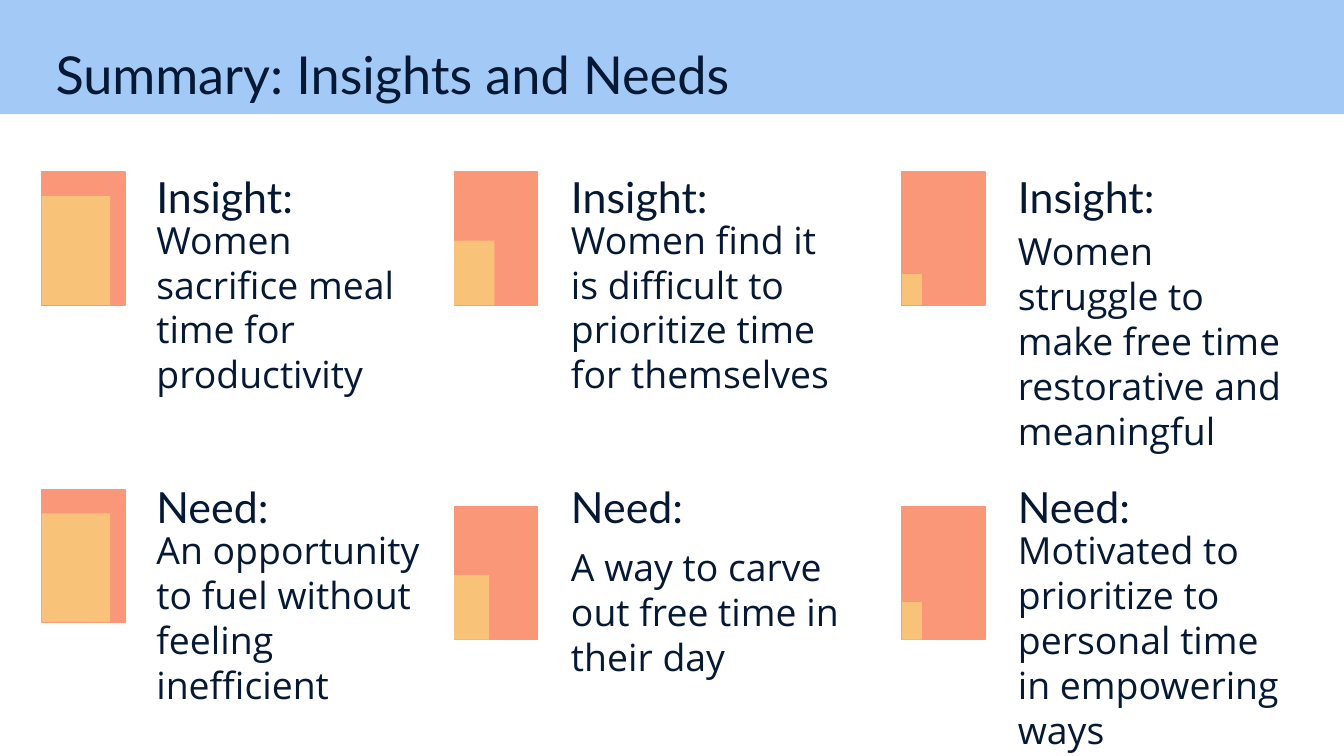
from pptx import Presentation
from pptx import util as u
from pptx.dml.color import RGBColor
from pptx.enum import shapes, text

PX = 4572
NAVY = RGBColor(0x05, 0x19, 0x34)
BLUE = RGBColor(0xA3, 0xCA, 0xF7)
CORAL = RGBColor(0xFA, 0x97, 0x78)
AMBER = RGBColor(0xF8, 0xC3, 0x79)

prs = Presentation()
prs.slide_width, prs.slide_height = 2000 * PX, 1125 * PX
s = prs.slides.add_slide(prs.slide_layouts[6])


def add_rect(x, y, w, h, color, outlined=False):
    sp = s.shapes.add_shape(shapes.MSO_SHAPE.RECTANGLE, x * PX, y * PX, w * PX, h * PX)
    sp.shadow.inherit = False
    sp.fill.solid()
    sp.fill.fore_color.rgb = color
    if outlined:
        sp.line.color.rgb = color
        sp.line.width = u.Pt(0.75)
    else:
        sp.line.fill.background()


def add_text(x, y, w, h, words, size, font, spacing=None):
    tf = s.shapes.add_textbox(x * PX, y * PX, w * PX, h * PX).text_frame
    tf.word_wrap = True
    tf.vertical_anchor = text.MSO_ANCHOR.TOP
    tf.margin_left = tf.margin_top = tf.margin_right = tf.margin_bottom = 20 * PX
    p = tf.paragraphs[0]
    p.line_spacing = spacing
    r = p.add_run()
    r.text = words
    r.font.size = u.Pt(size)
    r.font.name = font
    r.font.color.rgb = NAVY


add_rect(0, 0, 2000, 170, BLUE)
add_text(63, 43, 1546, 126, "Summary: Insights and Needs", 28, "Lato")

COLUMNS = [(62, 213, 392), (676, 830, 378), (1342, 1495, 378)]
ROWS = [
    ("Insight:", 234, [
        (256, 102, 162, 303, 186, "Women sacrifice meal time for productivity"),
        (256, 60, 96, 303, 292, "Women find it is difficult to prioritize time for themselves"),
        (256, 30, 46, 320, 488, "Women struggle to make free time restorative and meaningful"),
    ]),
    ("Need:", 695, [
        (728, 102, 162, 765, 292, "An opportunity to fuel without feeling inefficient"),
        (754, 52, 96, 790, 254, "A way to carve out free time in their day"),
        (754, 30, 56, 765, 316, "Motivated to prioritize to personal time in empowering ways"),
    ]),
]

for heading, heading_y, cells in ROWS:
    for (block_x, text_x, heading_w), cell in zip(COLUMNS, cells):
        block_y, level_w, level_h, body_y, body_h, body = cell
        add_rect(block_x, block_y, 124, 198, CORAL, outlined=True)
        add_rect(block_x, block_y + 198 - level_h, level_w, level_h, AMBER)
        add_text(text_x, heading_y, heading_w, 128, heading, 23, "Lato")
        add_text(text_x, body_y, 442, body_h, body, 20, "Open Sans", u.Pt(24))

prs.save("out.pptx")
